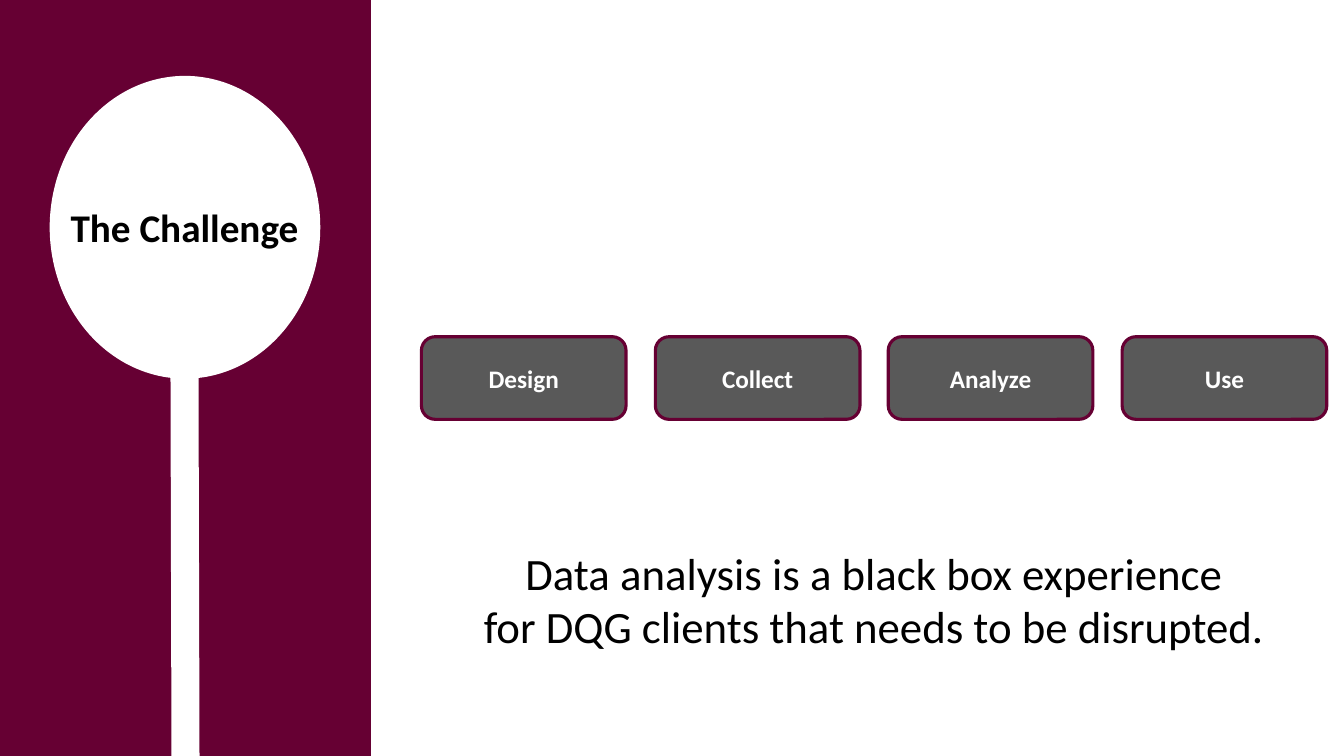
from dataclasses import dataclass

from pptx import Presentation
from pptx.dml.color import RGBColor
from pptx.enum.shapes import MSO_CONNECTOR as Connector, MSO_SHAPE as Preset
from pptx.enum.text import MSO_ANCHOR as Anchor, MSO_AUTO_SIZE as AutoSize, PP_ALIGN as Align
from pptx.oxml.ns import qn
from pptx.shapes.autoshape import Shape
from pptx.slide import Slide
from pptx.util import Emu, Pt
from lxml.etree import SubElement

EMU_PER_PX = 9144  # 100 px to the inch

MAROON = RGBColor(0x66, 0x00, 0x33)
GRAY = RGBColor(0x59, 0x59, 0x59)
WHITE = RGBColor(0xFF, 0xFF, 0xFF)
BLACK = RGBColor(0x00, 0x00, 0x00)

SLIDE_WIDTH, SLIDE_HEIGHT = 1333, 750
STEPS = ("Design", "Collect", "Analyze", "Use")
CONTENT_LEFT, CONTENT_WIDTH = 418, 898
STEP_TOP, STEP_WIDTH, STEP_HEIGHT = 334, 203, 82


@dataclass(frozen=True)
class Box:
    left: int
    top: int
    width: int
    height: int

    def emu(self) -> tuple[Emu, ...]:
        return tuple(px(value) for value in (self.left, self.top, self.width, self.height))


@dataclass(frozen=True)
class TextStyle:
    size: int
    color: RGBColor
    bold: bool = False


@dataclass(frozen=True)
class Panel:
    preset: Preset
    box: Box
    fill: RGBColor
    line: RGBColor | None = None
    line_width: float = 1


TITLE_STYLE = TextStyle(28, BLACK, bold=True)
STEP_STYLE = TextStyle(18, WHITE, bold=True)
MESSAGE_STYLE = TextStyle(32, BLACK)


def px(value: int) -> Emu:
    return Emu(value * EMU_PER_PX)


def write_lines(shape: Shape, lines: tuple[str, ...], style: TextStyle) -> None:
    frame = shape.text_frame
    frame.word_wrap = True
    frame.text = "\n".join(lines)
    font_format = {"name": "Calibri", "size": Pt(style.size), "bold": style.bold}
    for paragraph in frame.paragraphs:
        paragraph.alignment = Align.CENTER
        font = paragraph.runs[0].font
        for attribute, value in font_format.items():
            setattr(font, attribute, value)
        font.color.rgb = style.color


def add_panel(slide: Slide, panel: Panel) -> Shape:
    shape = slide.shapes.add_shape(panel.preset, *panel.box.emu())
    shape.shadow.inherit = False
    shape.fill.solid()
    shape.fill.fore_color.rgb = panel.fill
    if panel.line is None:
        shape.line.fill.background()
    else:
        shape.line.color.rgb = panel.line
        shape.line.width = Pt(panel.line_width)
    return shape


def add_text(slide: Slide, box: Box, lines: tuple[str, ...], style: TextStyle) -> None:
    shape = slide.shapes.add_textbox(*box.emu())
    write_lines(shape, lines, style)
    shape.text_frame.auto_size = AutoSize.SHAPE_TO_FIT_TEXT


def add_stem(slide: Slide) -> None:
    ends = (px(value) for value in (183, 375, 184, SLIDE_HEIGHT))
    stem = slide.shapes.add_connector(Connector.STRAIGHT, *ends)
    stem.line.color.rgb = WHITE
    stem.line.width = Pt(20)
    SubElement(stem._element.spPr, qn("a:effectLst"))


def add_steps(slide: Slide) -> None:
    pitch = (CONTENT_WIDTH - STEP_WIDTH) / (len(STEPS) - 1)
    for index, label in enumerate(STEPS):
        box = Box(round(CONTENT_LEFT + index * pitch), STEP_TOP, STEP_WIDTH, STEP_HEIGHT)
        shape = add_panel(slide, Panel(Preset.ROUNDED_RECTANGLE, box, GRAY, MAROON, 2.25))
        write_lines(shape, (label,), STEP_STYLE)
        shape.text_frame.vertical_anchor = Anchor.MIDDLE


def main() -> None:
    presentation = Presentation()
    presentation.slide_width = px(SLIDE_WIDTH)
    presentation.slide_height = px(SLIDE_HEIGHT)
    slide = presentation.slides.add_slide(presentation.slide_layouts[6])

    # Side band with the round title sign
    add_panel(slide, Panel(Preset.RECTANGLE, Box(0, 0, 368, SLIDE_HEIGHT), MAROON))
    add_stem(slide)
    add_panel(slide, Panel(Preset.OVAL, Box(50, 76, 267, 299), WHITE, WHITE))
    add_text(slide, Box(50, 197, 266, 57), ("The Challenge",), TITLE_STYLE)

    # Process steps
    add_steps(slide)

    # Key message
    message = (
        "Data analysis is a black box experience",
        "for DQG clients that needs to be disrupted.",
    )
    add_text(slide, Box(CONTENT_LEFT, 536, CONTENT_WIDTH, 118), message, MESSAGE_STYLE)

    presentation.save("out.pptx")


if __name__ == "__main__":
    main()
